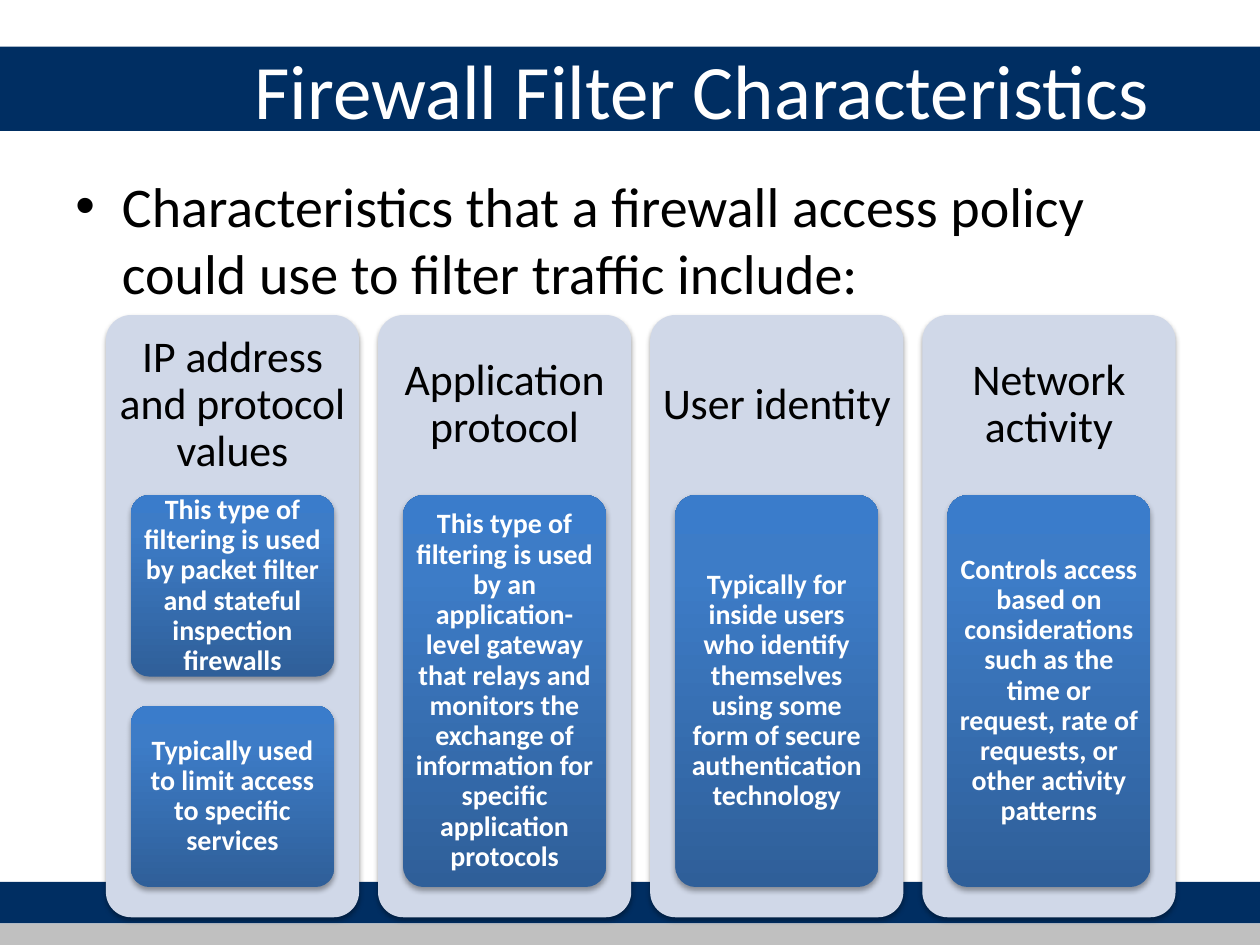
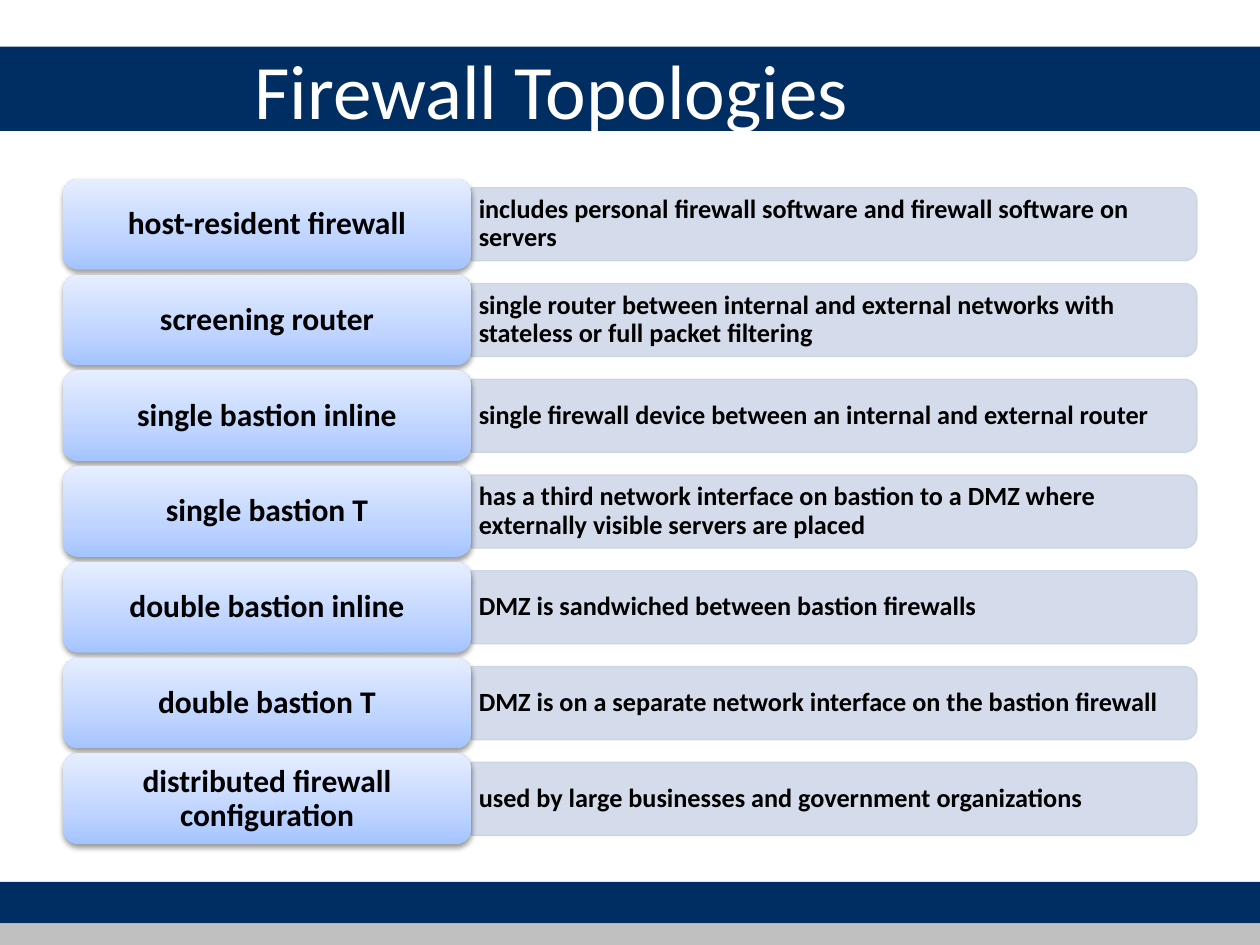
from copy import deepcopy
from dataclasses import dataclass
from math import cos, pi, sin
from typing import Any, NamedTuple

from lxml.etree import SubElement
from pptx import Presentation
from pptx.dml.color import RGBColor
from pptx.enum.shapes import MSO_SHAPE
from pptx.enum.text import MSO_ANCHOR, PP_ALIGN
from pptx.oxml.ns import qn
from pptx.util import Inches, Pt

HUES = {
    "navy": "002E62", "grey": "C0C0C0", "white": "FFFFFF", "black": "000000",
    "pale": "D0D8E8", "edge": "CBD3E3",
    "deep": "2F5F99", "mid": "3D7CC7", "high": "3A7CCB",
    "ice": "A4C4FF", "sky": "BFD4FF", "mist": "E6EEFF",
}
CARD_FADE = ((0, "deep"), (0.8, "mid"), (1, "high"))
LABEL_FADE = ((0, "ice"), (0.35, "sky"), (1, "mist"))


class Box(NamedTuple):
    left: float
    top: float
    width: float
    height: float

    def lengths(self) -> list[Any]:
        return [Inches(side) for side in self]


@dataclass(frozen=True)
class Style:
    size: int
    hue: str = "black"
    bold: bool = False
    align: Any = PP_ALIGN.CENTER
    anchor: Any = MSO_ANCHOR.MIDDLE
    pads: tuple[float, ...] = (0.1, 0.05, 0.1, 0.05)
    space: float = 0.9


@dataclass(frozen=True)
class Column:
    head: str
    cards: tuple[str, ...]


class Row(NamedTuple):
    label: str
    detail: str


# Text styles
TITLE = Style(44, "white", align=PP_ALIGN.LEFT, space=1.0)
BODY = Style(32, align=PP_ALIGN.LEFT, anchor=MSO_ANCHOR.TOP, space=1.0)
HEAD = Style(25, pads=(0.04, 0.04, 0.04, 3.39))
CARD = Style(16, "white", True, pads=(0.04, 0.03, 0.04, 0.03))
LABEL = Style(18, bold=True, pads=(0.08, 0.04, 0.08, 0.04))
DETAIL = Style(15, bold=True, align=PP_ALIGN.LEFT, pads=(0.06, 0.06, 0.09, 0.06))

# Shared bands
BANDS = (
    (Box(0, 7, 10, 0.33), "navy"),
    (Box(0, 0.37, 10, 0.67), "navy"),
    (Box(0, 7.33, 10, 0.17), "grey"),
)

# Slide wording
COLUMNS = (
    Column("IP address and protocol values", (
        "This type of filtering is used by packet filter and stateful inspection firewalls",
        "Typically used to limit access to specific services")),
    Column("Application protocol", (
        "This type of filtering is used by an application-level gateway that relays and "
        "monitors the exchange of information for specific application protocols",)),
    Column("User identity", (
        "Typically for inside users who identify themselves using some form of secure "
        "authentication technology",)),
    Column("Network activity", (
        "Controls access based on considerations such as the time or request, rate of "
        "requests, or other activity patterns",)),
)
ROWS = (
    Row("host-resident firewall",
        "includes personal firewall software and firewall software on servers"),
    Row("screening router",
        "single router between internal and external networks with stateless or full "
        "packet filtering"),
    Row("single bastion inline",
        "single firewall device between an internal and external router"),
    Row("single bastion T",
        "has a third network interface on bastion to a DMZ where externally visible "
        "servers are placed"),
    Row("double bastion inline", "DMZ is sandwiched between bastion firewalls"),
    Row("double bastion T",
        "DMZ is on a separate network interface on the bastion firewall"),
    Row("distributed firewall configuration",
        "used by large businesses and government organizations"),
)


def tint(name: str) -> RGBColor:
    return RGBColor.from_string(HUES[name])


def apply(target: Any, values: dict[str, Any]) -> None:
    for key, value in values.items():
        setattr(target, key, value)


def write(shape: Any, text: str, style: Style, bullet: bool = False) -> None:
    frame = shape.text_frame
    sides = ("margin_left", "margin_top", "margin_right", "margin_bottom")
    apply(frame, {side: Inches(pad) for side, pad in zip(sides, style.pads)})
    apply(frame, {"word_wrap": True, "vertical_anchor": style.anchor})
    para = frame.paragraphs[0]
    apply(para, {"text": text, "alignment": style.align, "line_spacing": style.space})
    if bullet:
        props = para._p.get_or_add_pPr()
        props.set("marL", str(Inches(0.37)))
        props.set("indent", str(-Inches(0.37)))
        SubElement(props, qn("a:buFont"), typeface="Arial")
        SubElement(props, qn("a:buChar"), char="•")
    font = para.runs[0].font
    apply(font, {"size": Pt(style.size), "name": "Calibri", "bold": style.bold})
    font.color.rgb = tint(style.hue)


def paint(shape: Any, hue: str) -> None:
    shape.shadow.inherit = False
    shape.fill.solid()
    shape.fill.fore_color.rgb = tint(hue)
    shape.line.fill.background()


def fade(shape: Any, stops: tuple[tuple[float, str], ...]) -> None:
    fill = shape.fill
    fill.gradient()
    fill.gradient_angle = 90
    group = shape._element.spPr.find(".//" + qn("a:gsLst"))
    group.append(deepcopy(group[-1]))
    for stop, (place, hue) in zip(fill.gradient_stops, stops):
        stop.position = place
        stop.color.rgb = tint(hue)


def shade(shape: Any, drop: float, alpha: int) -> None:
    effects = shape._element.spPr.find(qn("a:effectLst"))
    cast = SubElement(effects, qn("a:outerShdw"), blurRad=str(Pt(3.1)),
                      dist=str(Pt(drop)), dir="5400000", rotWithShape="0")
    color = SubElement(cast, qn("a:srgbClr"), val=HUES["black"])
    SubElement(color, qn("a:alpha"), val=str(alpha * 1000))


def add_text(slide: Any, box: Box, text: str, style: Style, bullet: bool = False) -> None:
    write(slide.shapes.add_textbox(*box.lengths()), text, style, bullet)


def add_panel(slide: Any, box: Box, text: str, style: Style, curve: float,
              stops: tuple[tuple[float, str], ...] = (),
              drop: float = 1.8, alpha: int = 35) -> None:
    panel = slide.shapes.add_shape(MSO_SHAPE.ROUNDED_RECTANGLE, *box.lengths())
    panel.adjustments[0] = curve
    paint(panel, "pale")
    if stops:
        fade(panel, stops)
    shade(panel, drop, alpha)
    write(panel, text, style)


def add_bar(slide: Any, box: Box, text: str) -> None:
    """Draw a bar whose two right corners are round."""
    left, top, width, height = box
    right, base, bend = left + width, top + height, 0.1
    turns = [step * pi / 16 for step in range(9)]
    upper = [(right - bend + bend * sin(t), top + bend - bend * cos(t)) for t in turns]
    lower = [(right - bend + bend * cos(t), base - bend + bend * sin(t)) for t in turns]
    points = [(Inches(x), Inches(y)) for x, y in [*upper, *lower, (left, base)]]
    build = slide.shapes.build_freeform(Inches(left), Inches(top))
    build.add_line_segments(points, close=True)
    bar = build.convert_to_shape()
    paint(bar, "pale")
    bar.line.color.rgb = tint("edge")
    bar.line.width = Pt(0.75)
    for color in bar._element.spPr.iter(qn("a:srgbClr")):
        SubElement(color, qn("a:alpha"), val="90000")
    write(bar, text, DETAIL)


def add_page(deck: Any, title: str) -> Any:
    slide = deck.slides.add_slide(deck.slide_layouts[6])
    for box, hue in BANDS:
        paint(slide.shapes.add_shape(MSO_SHAPE.RECTANGLE, *box.lengths()), hue)
    add_text(slide, Box(1.92, 0.08, 7.92, 1.25), title, TITLE)
    return slide


def draw_filters(deck: Any) -> None:
    slide = add_page(deck, "Firewall Filter Characteristics")
    add_text(slide, Box(0.5, 1.31, 9, 5.28),
             "Characteristics that a firewall access policy could use to filter "
             "traffic include:", BODY, bullet=True)
    gap = 0.23
    for rank, column in enumerate(COLUMNS):
        left = 0.84 + 2.16 * rank
        add_panel(slide, Box(left, 2.5, 2.01, 4.78), column.head, HEAD, 0.1)
        count = len(column.cards)
        height = (3.11 - gap * (count - 1)) / count
        for place, text in enumerate(column.cards):
            top = 3.93 + place * (height + gap)
            add_panel(slide, Box(left + 0.2, top, 1.61, height), text, CARD, 0.1, CARD_FADE)


def draw_layouts(deck: Any) -> None:
    slide = add_page(deck, "Firewall Topologies")
    for rank, row in enumerate(ROWS):
        top = 1.42 + 0.76 * rank
        add_bar(slide, Box(3.74, top + 0.07, 5.76, 0.58), row.detail)
        add_panel(slide, Box(0.5, top, 3.24, 0.72), row.label, LABEL, 0.17,
                  LABEL_FADE, drop=1.6, alpha=38)


def main() -> None:
    deck = Presentation()
    apply(deck, {"slide_width": Inches(10), "slide_height": Inches(7.5)})
    draw_filters(deck)
    draw_layouts(deck)
    deck.save("out.pptx")


if __name__ == "__main__":
    main()
